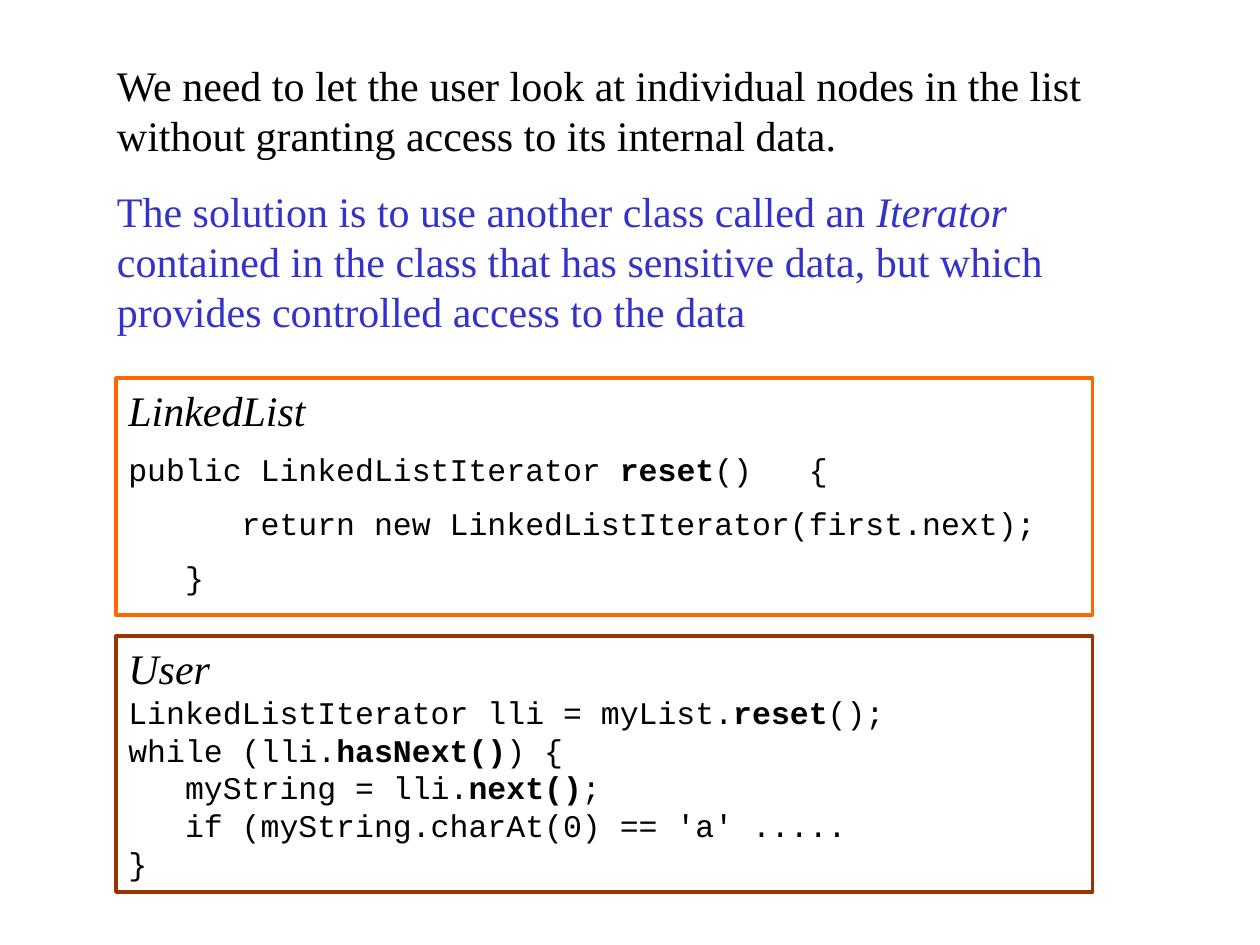
"""Build a slide on giving controlled list access through an iterator."""
import pptx
import pptx.dml.color
import pptx.enum.shapes
import pptx.enum.text
import pptx.util

COLORS = {"black": "000000", "blue": "3333CC", "orange": "FF6600", "brown": "993300"}
PROSE = {"font": "Times New Roman", "size": 24}
CODE = {"font": "Courier New", "size": 18}
SLIDE_WIDTH, SLIDE_HEIGHT = 10, 7.5
PROSE_LEFT, PANEL_LEFT, PANEL_WIDTH = 0.83, 0.92, 7.75

STATEMENTS = [
    {"top": 0.42, "width": 7.93, "height": 0.9, "color": "black",
     "runs": [("We need to let the user look at individual nodes in the list "
               "without granting access to its internal data.", "")]},
    {"top": 1.42, "width": 7.75, "height": 1.3, "color": "blue",
     "runs": [("The solution is to use another class called an ", ""),
              ("Iterator", "italic"),
              (" contained in the class that has sensitive data, but which "
               "provides controlled access to the data", "")]},
]
PANELS = [
    {"top": 3, "height": 1.88, "line": "orange", "gap": 0.5, "heading": "LinkedList",
     "code": [
         [("public LinkedListIterator ", ""), ("reset", "bold"), ("()   {", "")],
         [("      return new LinkedListIterator(first.next);", "")],
         [("   }", "")],
     ]},
    {"top": 5.05, "height": 2.03, "line": "brown", "gap": 0, "heading": "User",
     "code": [
         [("LinkedListIterator lli = myList.", ""), ("reset", "bold"), ("();", "")],
         [("while (lli.", ""), ("hasNext()", "bold"), (") {", "")],
         [("   myString = lli.", ""), ("next()", "bold"), (";", "")],
         [("   if (myString.charAt(0) == 'a' .....", "")],
         [("}", "")],
     ]},
]


def rgb(name):
    """Return the named colour."""
    return pptx.dml.color.RGBColor.from_string(COLORS[name])


def inches(*lengths):
    """Convert lengths in inches."""
    return [pptx.util.Inches(length) for length in lengths]


def write(paragraph, runs, font, size, color="black", gap=0):
    """Write styled runs, with a gap before as a share of the text size."""
    paragraph.alignment = pptx.enum.text.PP_ALIGN.LEFT
    paragraph.space_before = pptx.util.Pt(size * gap)
    for text, style in runs:
        run = paragraph.add_run()
        run.text = text
        run.font.name = font
        run.font.size = pptx.util.Pt(size)
        run.font.color.rgb = rgb(color)
        run.font.bold = style == "bold"
        run.font.italic = style == "italic"


def prepare(shape):
    """Set wrapping and fitting, and return the text frame."""
    frame = shape.text_frame
    frame.word_wrap = True
    frame.auto_size = pptx.enum.text.MSO_AUTO_SIZE.SHAPE_TO_FIT_TEXT
    frame.vertical_anchor = pptx.enum.text.MSO_ANCHOR.TOP
    return frame


def add_statement(slide, statement):
    """Add a statement in a plain text box."""
    box = slide.shapes.add_textbox(*inches(
        PROSE_LEFT, statement["top"], statement["width"], statement["height"]))
    write(prepare(box).paragraphs[0], statement["runs"], color=statement["color"], **PROSE)


def add_panel(slide, panel):
    """Add an outlined panel with a heading and code lines."""
    shape = slide.shapes.add_shape(
        pptx.enum.shapes.MSO_SHAPE.RECTANGLE,
        *inches(PANEL_LEFT, panel["top"], PANEL_WIDTH, panel["height"]))
    shape.shadow.inherit = False
    shape.fill.background()
    shape.line.color.rgb = rgb(panel["line"])
    shape.line.width = pptx.util.Pt(2)
    frame = prepare(shape)
    write(frame.paragraphs[0], [(panel["heading"], "italic")], **PROSE)
    for runs in panel["code"]:
        write(frame.add_paragraph(), runs, gap=panel["gap"], **CODE)


def main():
    """Build and save the presentation."""
    presentation = pptx.Presentation()
    presentation.slide_width, presentation.slide_height = inches(SLIDE_WIDTH, SLIDE_HEIGHT)
    slide = presentation.slides.add_slide(presentation.slide_layouts[6])
    for statement in STATEMENTS:
        add_statement(slide, statement)
    for panel in PANELS:
        add_panel(slide, panel)
    presentation.save("out.pptx")


if __name__ == "__main__":
    main()
